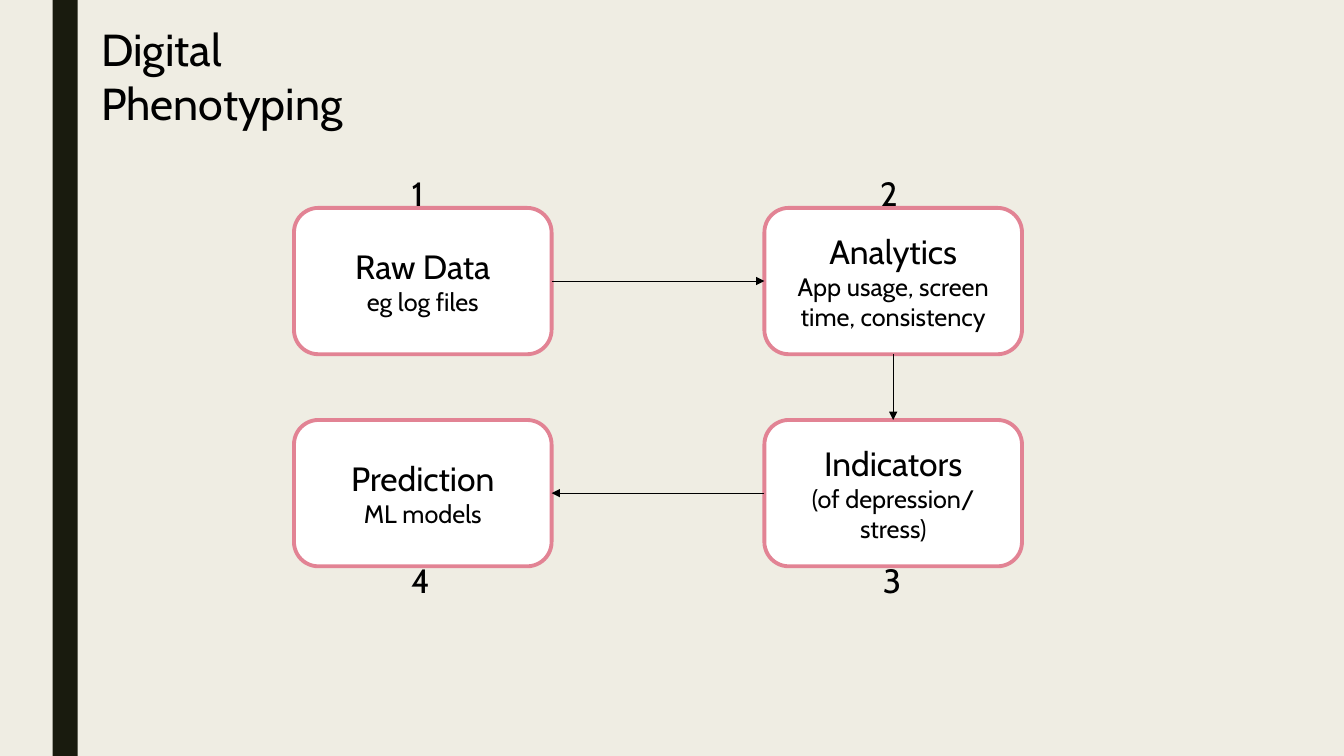
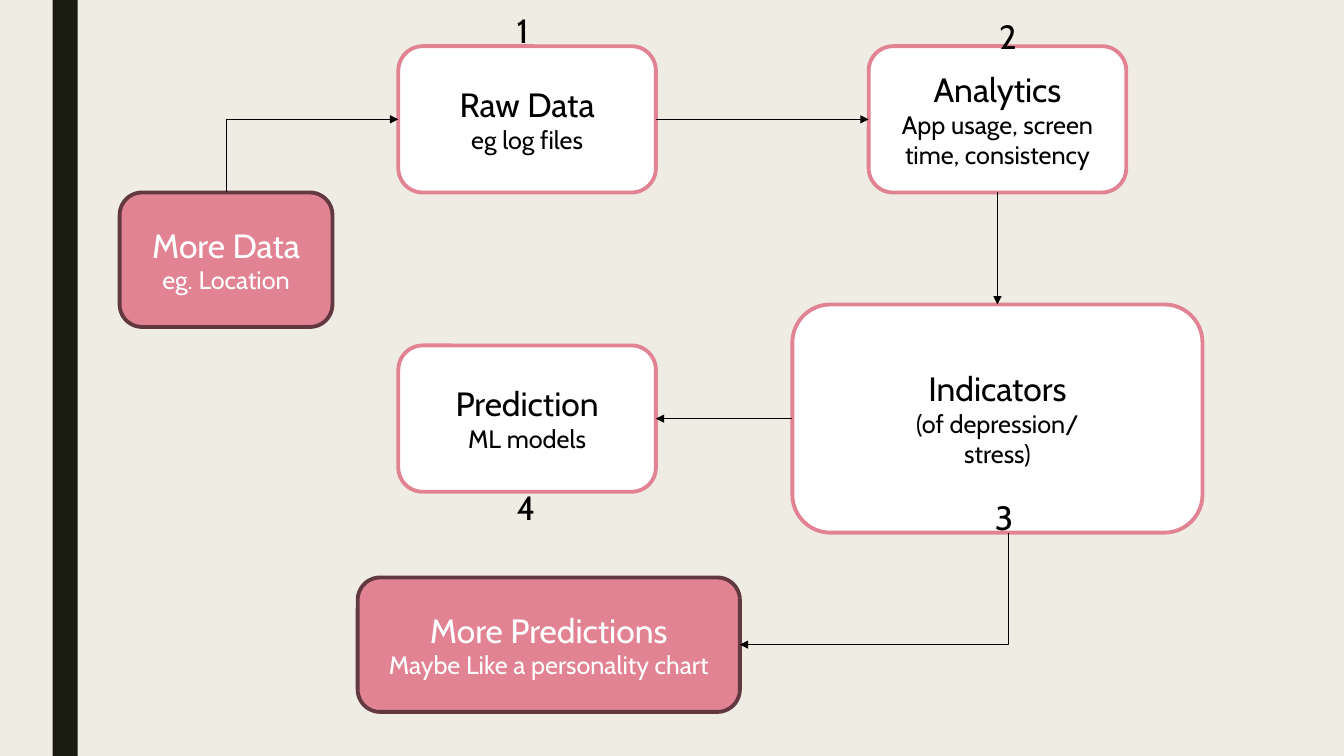
import pptx
import pptx.dml.color
import pptx.enum.shapes
import pptx.enum.text
import pptx.oxml.ns
import pptx.util
import lxml.etree

Pt = pptx.util.Pt
RGBColor = pptx.dml.color.RGBColor
Shape = pptx.enum.shapes.MSO_SHAPE
Connector = pptx.enum.shapes.MSO_CONNECTOR
Align = pptx.enum.text.PP_ALIGN
Anchor = pptx.enum.text.MSO_ANCHOR
AutoSize = pptx.enum.text.MSO_AUTO_SIZE
qn = pptx.oxml.ns.qn

CREAM = RGBColor(0xEF, 0xED, 0xE3)
OLIVE = RGBColor(0x19, 0x1B, 0x0E)
PINK = RGBColor(0xE2, 0x83, 0x94)
PLUM = RGBColor(0x63, 0x39, 0x41)
WHITE = RGBColor(0xFF, 0xFF, 0xFF)
BLACK = RGBColor(0x00, 0x00, 0x00)

FONT = "Cabin"
TOP, LEFT, BOTTOM, RIGHT = range(4)
TITLE_ONLY, BLANK = 5, 6
STEP_WIDTH, STEP_HEIGHT, EXTRA_HEIGHT = 184, 104.5, 96

RAW_DATA = ("Raw Data", "eg log files")
ANALYTICS = ("Analytics", "App usage, screen time, consistency")
INDICATORS = ("Indicators", "(of depression/", "stress)")
PREDICTION = ("Prediction", "ML models")


def write(para, text, size=24, color=BLACK, align=Align.LEFT):
    para.alignment = align
    span = para.add_run()
    span.text = text
    span.font.name = FONT
    span.font.size = Pt(size)
    span.font.color.rgb = color


class FlowDeck:
    def __init__(self):
        self.deck = pptx.Presentation()
        self.deck.slide_width = Pt(960)
        self.deck.slide_height = Pt(540)
        fill = self.deck.slide_master.background.fill
        fill.solid()
        fill.fore_color.rgb = CREAM
        self.page = None

    def add_page(self, title=None):
        layout = self.deck.slide_layouts[TITLE_ONLY if title else BLANK]
        self.page = self.deck.slides.add_slide(layout)
        self.shape(Shape.RECTANGLE, 37.5, 0, 18, 540, OLIVE)
        if title:
            self.title(title)

    def title(self, text):
        box = self.page.shapes.title
        box.left, box.top, box.width, box.height = Pt(65), Pt(12), Pt(200), Pt(92)
        frame = box.text_frame
        frame.word_wrap = True
        frame.auto_size = AutoSize.NONE
        frame.vertical_anchor = Anchor.TOP
        write(frame.paragraphs[0], text, size=32)

    def shape(self, kind, left, top, width, height, fill, line=None):
        box = self.page.shapes.add_shape(kind, Pt(left), Pt(top), Pt(width), Pt(height))
        box.shadow.inherit = False
        box.fill.solid()
        box.fill.fore_color.rgb = fill
        if line is None:
            box.line.fill.background()
        else:
            box.line.color.rgb = line
            box.line.width = Pt(2.75)
        return box

    def step(self, lines, left, top, width=STEP_WIDTH, height=STEP_HEIGHT,
             fill=WHITE, line=PINK, color=BLACK):
        box = self.shape(Shape.ROUNDED_RECTANGLE, left, top, width, height, fill, line)
        frame = box.text_frame
        frame.word_wrap = True
        frame.vertical_anchor = Anchor.MIDDLE
        for index, text in enumerate(lines):
            para = frame.add_paragraph() if index else frame.paragraphs[0]
            write(para, text, size=18 if index else 24, color=color, align=Align.CENTER)
        return box

    def extra(self, lines, left, top, width):
        return self.step(lines, left, top, width, EXTRA_HEIGHT, PINK, PLUM, WHITE)

    def line(self, kind, start, end, arrow_end):
        line = self.page.shapes.add_connector(kind, *start, *end)
        line.line.color.rgb = BLACK
        line.line.width = Pt(0.5)
        outline = line.line._get_or_add_ln()
        lxml.etree.SubElement(outline, qn("a:" + arrow_end), type="triangle")
        lxml.etree.SubElement(line._element.spPr, qn("a:effectLst"))
        return line

    def arrow(self, source, source_side, target, target_side):
        line = self.line(Connector.STRAIGHT, (0, 0), (0, 0), "tailEnd")
        line.begin_connect(source, source_side)
        line.end_connect(target, target_side)

    def elbow(self, tip, source):
        line = self.line(Connector.ELBOW, tip, source, "headEnd")
        line._element.spPr.find(qn("a:prstGeom")).set("prst", "bentConnector2")

    def flow(self, raw_data, analytics, indicators, prediction):
        self.arrow(raw_data, RIGHT, analytics, LEFT)
        self.arrow(analytics, BOTTOM, indicators, TOP)
        self.arrow(indicators, LEFT, prediction, RIGHT)

    def numbers(self, places):
        for number, (left, top) in enumerate(places, start=1):
            box = self.page.shapes.add_textbox(Pt(left), Pt(top), Pt(29), Pt(36))
            box.text_frame.word_wrap = False
            write(box.text_frame.paragraphs[0], str(number))

    def save(self):
        self.deck.save("out.pptx")


def add_basic_flow(show):
    show.add_page("Digital Phenotyping")
    left, right, upper, lower = 210, 546, 148.5, 300
    raw_data = show.step(RAW_DATA, left, upper)
    analytics = show.step(ANALYTICS, right, upper)
    indicators = show.step(INDICATORS, right, lower)
    prediction = show.step(PREDICTION, left, lower)
    show.flow(raw_data, analytics, indicators, prediction)
    show.numbers([(287, 120), (621.5, 120), (623.5, 396.5), (286.5, 396.5)])


def add_extended_flow(show):
    show.add_page()
    left, upper = 284.5, 33
    raw_data = show.step(RAW_DATA, left, upper)
    analytics = show.step(ANALYTICS, 620.5, upper)
    indicators = show.step(INDICATORS, 566, 217.5, 293, 163)
    prediction = show.step(PREDICTION, left, 246.75)
    show.flow(raw_data, analytics, indicators, prediction)
    show.numbers([(362, 3.5), (706.5, 8), (703.5, 351.5), (362, 344)])
    more_data = show.extra(("More Data", "eg. Location"), 85.5, 137.5, 152)
    more_predictions = show.extra(
        ("More Predictions", "Maybe Like a personality chart"), 255.5, 412.5, 273)
    show.elbow((raw_data.left, raw_data.top + raw_data.height // 2),
               (more_data.left + more_data.width // 2, more_data.top))
    show.elbow((more_predictions.left + more_predictions.width,
                more_predictions.top + more_predictions.height // 2),
               (Pt(720.5), indicators.top + indicators.height))


def main():
    show = FlowDeck()
    add_basic_flow(show)
    add_extended_flow(show)
    show.save()


if __name__ == "__main__":
    main()
